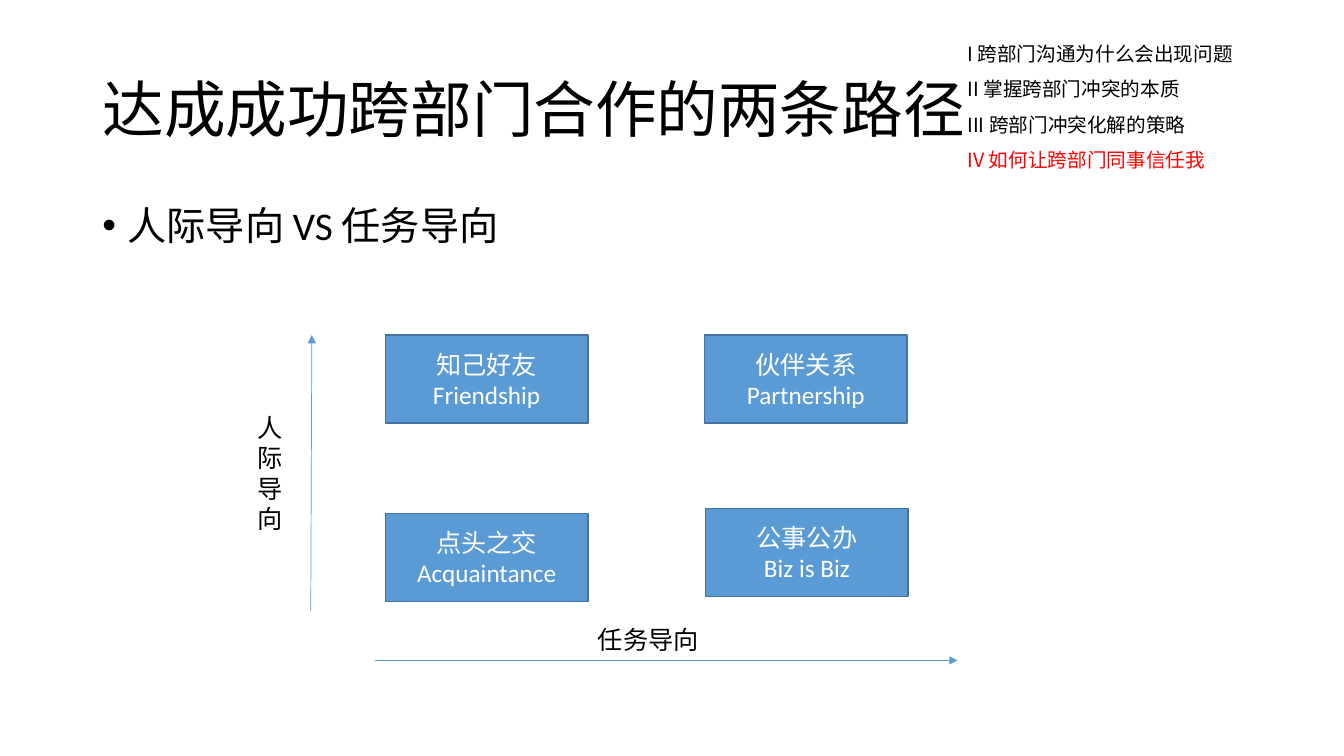
from dataclasses import dataclass

import pptx
import pptx.util
import pptx.dml.color
import pptx.enum.shapes
import pptx.enum.text
import pptx.oxml
import pptx.oxml.ns

PX = 9525  # EMU in one px, 96 px to the inch
LATIN, HAN = "Calibri", "Noto Sans CJK SC"
BLACK, WHITE, RED = "000000", "FFFFFF", "FF0000"
BLUE, EDGE = "5B9BD5", "43739E"
ALIGN = pptx.enum.text.PP_ALIGN
ANCHOR = pptx.enum.text.MSO_ANCHOR
FIT = pptx.enum.text.MSO_AUTO_SIZE


@dataclass
class Area:
    x: int
    y: int
    w: int
    h: int

    def emu(self) -> list[int]:
        return [n * PX for n in (self.x, self.y, self.w, self.h)]


@dataclass
class Box:
    x: int
    y: int
    text: str


@dataclass
class Axis:
    start: tuple[int, int]
    end: tuple[int, int]
    label: str
    area: Area


BOXES = [
    Box(367, 319, "知己好友\nFriendship"),
    Box(671, 319, "伙伴关系\nPartnership"),
    Box(367, 489, "点头之交\nAcquaintance"),
    Box(672, 484, "公事公办\nBiz is Biz"),
]
AXES = [
    Axis((357, 629), (912, 629), "任务导向", Area(560, 590, 251, 38)),
    Axis((296, 582), (297, 319), "人际导向", Area(236, 388, 47, 126)),
]
AGENDA = [
    "I 跨部门沟通为什么会出现问题",
    "II 掌握跨部门冲突的本质",
    "III 跨部门冲突化解的策略",
    "IV 如何让跨部门同事信任我",
]


def rgb(code: str) -> pptx.dml.color.RGBColor:
    return pptx.dml.color.RGBColor.from_string(code)


def node(tag: str, **attrs: str):
    item = pptx.oxml.parse_xml(f"<a:{tag} {pptx.oxml.ns.nsdecls('a')}/>")
    for key, value in attrs.items():
        item.set(key, value)
    return item


def write(shape, text: str, size: int, color: str = BLACK, font: str = LATIN,
          align=ALIGN.LEFT, anchor=ANCHOR.TOP, line: float = 1.0,
          before: int = 0) -> None:
    frame = shape.text_frame
    frame.text = text
    frame.word_wrap = True
    frame.auto_size = FIT.NONE
    frame.vertical_anchor = anchor
    for para in frame.paragraphs:
        para.alignment = align
        para.line_spacing = line
        para.space_before = pptx.util.Pt(before)
        for run in para.runs:
            run.font.name = font
            run.font.size = pptx.util.Pt(size)
            run.font.color.rgb = rgb(color)
            run._r.get_or_add_rPr().append(node("ea", typeface=HAN))


def place(shape, area: Area) -> None:
    shape.left, shape.top, shape.width, shape.height = area.emu()


def add_box(slide, box: Box) -> None:
    kind = pptx.enum.shapes.MSO_SHAPE.RECTANGLE
    shape = slide.shapes.add_shape(kind, *Area(box.x, box.y, 193, 84).emu())
    shape.shadow.inherit = False
    shape.fill.solid()
    shape.fill.fore_color.rgb = rgb(BLUE)
    shape.line.color.rgb = rgb(EDGE)
    shape.line.width = pptx.util.Pt(1)
    write(shape, box.text, 18, WHITE, align=ALIGN.CENTER, anchor=ANCHOR.MIDDLE)


def add_axis(slide, axis: Axis) -> None:
    kind = pptx.enum.shapes.MSO_CONNECTOR.STRAIGHT
    ends = [n * PX for n in axis.start + axis.end]
    arrow = slide.shapes.add_connector(kind, *ends)
    arrow.line.color.rgb = rgb(BLUE)
    arrow.line.width = pptx.util.Pt(0.5)
    arrow.line._get_or_add_ln().append(node("tailEnd", type="triangle"))
    arrow._element.spPr.append(node("effectLst"))
    label = slide.shapes.add_textbox(*axis.area.emu())
    write(label, axis.label, 18)


def main() -> None:
    deck = pptx.Presentation()
    deck.slide_width, deck.slide_height = 1280 * PX, 720 * PX
    slide = deck.slides.add_slide(deck.slide_layouts[1])

    # Title
    title = slide.shapes.title
    place(title, Area(88, 38, 1104, 139))
    write(title, "达成成功跨部门合作的两条路径", 44, anchor=ANCHOR.MIDDLE, line=0.9)

    # Agenda, with the current part in red
    agenda = slide.shapes.add_textbox(*Area(912, 38, 300, 154).emu())
    write(agenda, "\n".join(AGENDA), 14, font=HAN, line=0.9, before=10)
    agenda.text_frame.paragraphs[-1].runs[0].font.color.rgb = rgb(RED)

    # Bullet list
    body = slide.placeholders[1]
    place(body, Area(88, 192, 1104, 457))
    write(body, "人际导向 VS 任务导向", 28, line=0.9, before=10)
    props = body.text_frame.paragraphs[0]._p.get_or_add_pPr()
    props.set("marL", str(24 * PX))
    props.set("indent", str(-24 * PX))
    props.append(node("buFont", typeface="Arial"))
    props.append(node("buChar", char="•"))

    # Matrix of relations and its two axes
    for box in BOXES:
        add_box(slide, box)
    for axis in AXES:
        add_axis(slide, axis)

    deck.save("out.pptx")


if __name__ == "__main__":
    main()
